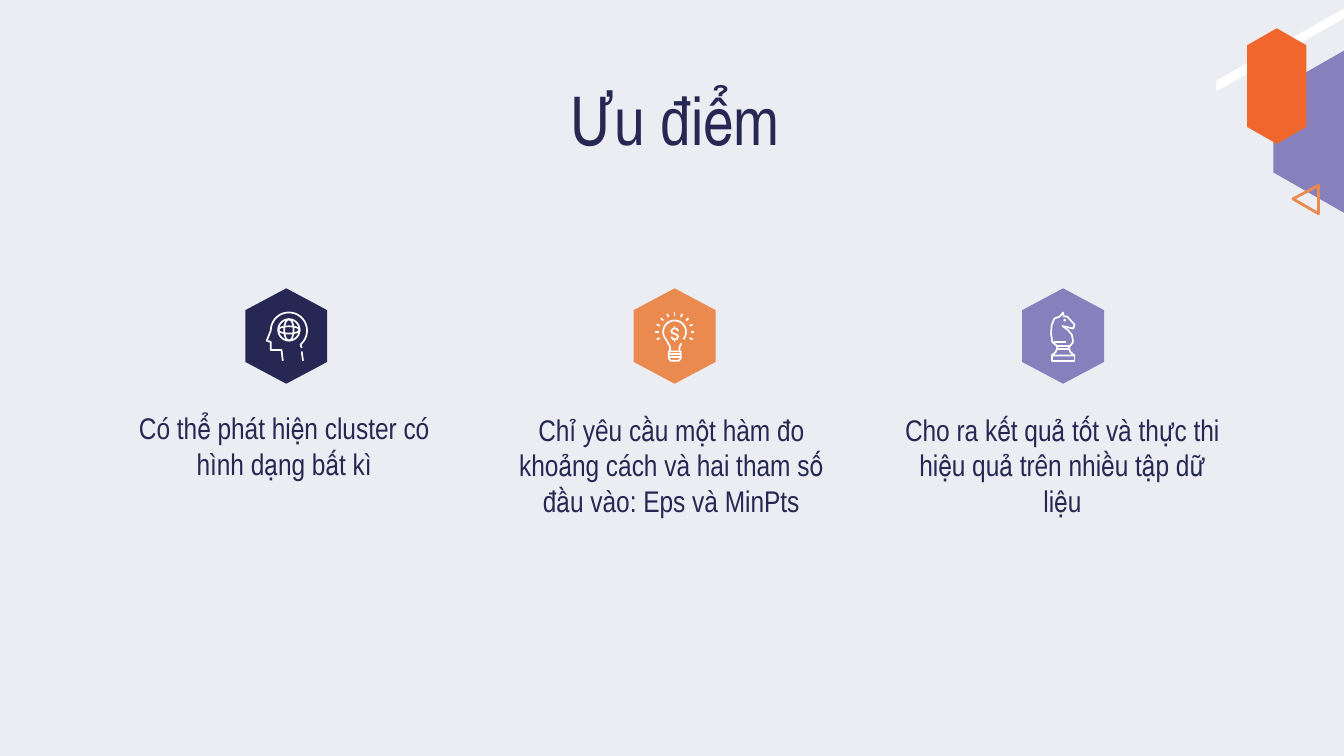
from math import cos, radians, sin

from lxml import etree
from pptx import Presentation
from pptx.dml.color import RGBColor
from pptx.enum.shapes import MSO_CONNECTOR, MSO_SHAPE
from pptx.enum.text import MSO_ANCHOR, PP_ALIGN
from pptx.oxml.ns import qn
from pptx.util import Inches, Pt

HEXAGON, OVAL = MSO_SHAPE.HEXAGON, MSO_SHAPE.OVAL
STRAIGHT = MSO_CONNECTOR.STRAIGHT
CENTER, TOP = PP_ALIGN.CENTER, MSO_ANCHOR.TOP

FONT = "Arial Narrow"
HEX = {"bg": "ECEDF3", "navy": "272753", "peach": "EA8A4F",
       "lilac": "8680BC", "orange": "F1662D", "white": "FFFFFF"}
COLORS = {name: RGBColor.from_string(value) for name, value in HEX.items()}

# Three equal columns; icon strokes are in hundredths of an inch from a centre
COL_CENTERS = [2.13 + 2.89 * i for i in range(3)]
ICON_Y = 2.5
UNIT = 0.01
STROKE = 0.9

prs = Presentation()
prs.slide_width = Inches(10)
prs.slide_height = prs.slide_width * 9 // 16
s = prs.slides.add_slide(prs.slide_layouts[6])
s.background.fill.solid()
s.background.fill.fore_color.rgb = COLORS["bg"]


def add_text(text, x, y, w, h, size, inset_top=0, after=0):
    tf = s.shapes.add_textbox(Inches(x), Inches(y), Inches(w), Inches(h)).text_frame
    tf.word_wrap = True
    tf.vertical_anchor = TOP
    tf.margin_left = tf.margin_right = tf.margin_bottom = Inches(0.1)
    tf.margin_top = Inches(inset_top)
    p = tf.paragraphs[0]
    p.alignment = CENTER
    p.space_after = Pt(after)
    r = p.add_run()
    r.text = text
    r.font.name, r.font.size = FONT, Pt(size)
    r.font.color.rgb = COLORS["navy"]


def trace(points, closed=False, fill=None, line="white", width=STROKE):
    """Draw a freeform through points given in inches."""
    emu = [(Inches(x), Inches(y)) for x, y in points]
    builder = s.shapes.build_freeform(*emu[0], scale=1.0)
    builder.add_line_segments(emu[1:], close=closed)
    sp = builder.convert_to_shape()
    sp.shadow.inherit = False
    if fill:
        sp.fill.solid()
        sp.fill.fore_color.rgb = COLORS[fill]
        sp.line.fill.background()
    else:
        sp.fill.background()
        sp.line.color.rgb = COLORS[line]
        sp.line.width = Pt(width)


# Corner decoration and icon hexagons: centre x, centre y, length, breadth
trace([(9.05, 0.6), (10.38, -0.15), (10.38, -0.08), (9.05, 0.68)],
      closed=True, fill="white")
hexagons = [(10.02, 0.98, 1.23, 1.09, 0.286, "lilac"),
            (9.5, 0.64, 0.86, 0.44, 0.286, "orange")]
hexagons += [(x, ICON_Y, 0.71, 0.61, 0.266, color)
             for x, color in zip(COL_CENTERS, ("navy", "peach", "lilac"))]
for x, y, w, h, adj, color in hexagons:
    sp = s.shapes.add_shape(HEXAGON, Inches(x - w / 2), Inches(y - h / 2),
                            Inches(w), Inches(h))
    sp.rotation = 270
    sp.adjustments[0] = adj
    sp.shadow.inherit = False
    sp.fill.solid()
    sp.fill.fore_color.rgb = COLORS[color]
    sp.line.fill.background()
trace([(9.81, 1.38), (9.62, 1.48), (9.81, 1.59)], closed=True,
      line="peach", width=1.5)

# Icon outlines: column, closed, points
skull = [(2 + 13.5 * cos(radians(a)), -4 + 13.5 * sin(radians(a)))
         for a in range(50, -181, -10)]
bulb = [(8.5 * cos(radians(a)), -3 + 8.5 * sin(radians(a)))
        for a in range(140, 401, 10)]
outlines = [
    (0, False, [(11.5, 9)] + skull + [(-14.5, 3.5), (-11.5, 4.5), (-11.5, 10.5),
                                      (-3.5, 10.5), (-2.5, 18.5)]),
    (1, False, [(-3.5, 11), (-3.5, 8), (-5, 5)] + bulb),
    (1, False, [(5, 5.5), (3.7, 8), (3.5, 11)]),
    (1, True, [(-4.5, 11.5), (4.5, 11.5), (4.5, 16.5), (3, 18.5),
               (-3, 18.5), (-4.5, 16.5)]),
    (1, False, [(2.5, -3.5), (2, -5), (1, -5.5), (-1, -5.5), (-2.5, -4),
                (-2, -2.5), (0, -1.5), (2, -0.7), (2.5, 0.7), (1.5, 2.5),
                (-1, 2.5), (-2.5, 0.7)]),
    (2, True, [(0, -17.5), (0.5, -14.5), (3, -14.5), (8.5, -8.5), (7.5, -5.5),
               (-0.5, -7.5), (3.5, -4.5), (6.5, -1), (7.5, 4.5), (5, 7.5),
               (-4.5, 7.5), (-8, 4.5), (-9, -2), (-8.5, -8), (-6.5, -13),
               (-2.5, -14.5)]),
    (2, False, [(-4.5, 7.5), (-4.5, 9.5), (4.5, 9.5), (4.5, 7.5)]),
    (2, False, [(-4.5, 9.5), (-5.5, 12), (-8.5, 14.5), (8.5, 14.5),
                (5.5, 12), (4.5, 9.5)]),
    (2, True, [(-8.5, 14.5), (8.5, 14.5), (8.5, 18.5), (-8.5, 18.5)]),
]
for col, closed, points in outlines:
    trace([(COL_CENTERS[col] + x * UNIT, ICON_Y + y * UNIT) for x, y in points],
          closed)

# Globe rings and the knight's eye: column, centre x, centre y, radii
for col, x, y, rx, ry in [(0, 2, -4.5, 8, 8), (0, 2, -4.5, 3.5, 8),
                          (0, 2, -4.5, 8, 2.7), (2, 1.2, -11.7, 0.3, 0.3)]:
    sp = s.shapes.add_shape(OVAL, Inches(COL_CENTERS[col] + (x - rx) * UNIT),
                            Inches(ICON_Y + (y - ry) * UNIT),
                            Inches(2 * rx * UNIT), Inches(2 * ry * UNIT))
    sp.shadow.inherit = False
    sp.fill.background()
    sp.line.color.rgb = COLORS["white"]
    sp.line.width = Pt(STROKE)

# Straight icon strokes: column, from, to
strokes = [(0, 11.5, 11.5, 12.5, 18.5), (1, -4.5, 13.5, 4.5, 13.5),
           (1, -4.5, 15.5, 4.5, 15.5), (1, 0, -7.5, 0, -5.5),
           (1, 0, 2.5, 0, 4.5), (2, -7, 4.5, 2.5, 4.5)]
for step in range(-5, 6):
    dx, dy = sin(radians(22.5 * step)), -cos(radians(22.5 * step))
    strokes.append((1, 12 * dx, -3 + 12 * dy, 14.5 * dx, -3 + 14.5 * dy))
for col, x1, y1, x2, y2 in strokes:
    cx = COL_CENTERS[col]
    c = s.shapes.add_connector(STRAIGHT,
                               Inches(cx + x1 * UNIT), Inches(ICON_Y + y1 * UNIT),
                               Inches(cx + x2 * UNIT), Inches(ICON_Y + y2 * UNIT))
    c.line.color.rgb = COLORS["white"]
    c.line.width = Pt(STROKE)
    etree.SubElement(c._element.spPr, qn("a:effectLst"))

add_text("Ưu điểm", 1.3, 0.48, 7.45, 0.63, size=36, inset_top=0.1)
advantages = [
    (0.79, 3.05, "Có thể phát hiện cluster có hình dạng bất kì"),
    (3.67, 3.06, "Chỉ yêu cầu một hàm đo khoảng cách và hai tham số "
                 "đầu vào: Eps và MinPts"),
    (6.58, 3.06, "Cho ra kết quả tốt và thực thi hiệu quả trên nhiều tập dữ liệu"),
]
for x, y, advantage in advantages:
    add_text(advantage, x, y, 2.65, 0.58, size=16, after=16)

prs.save("out.pptx")
